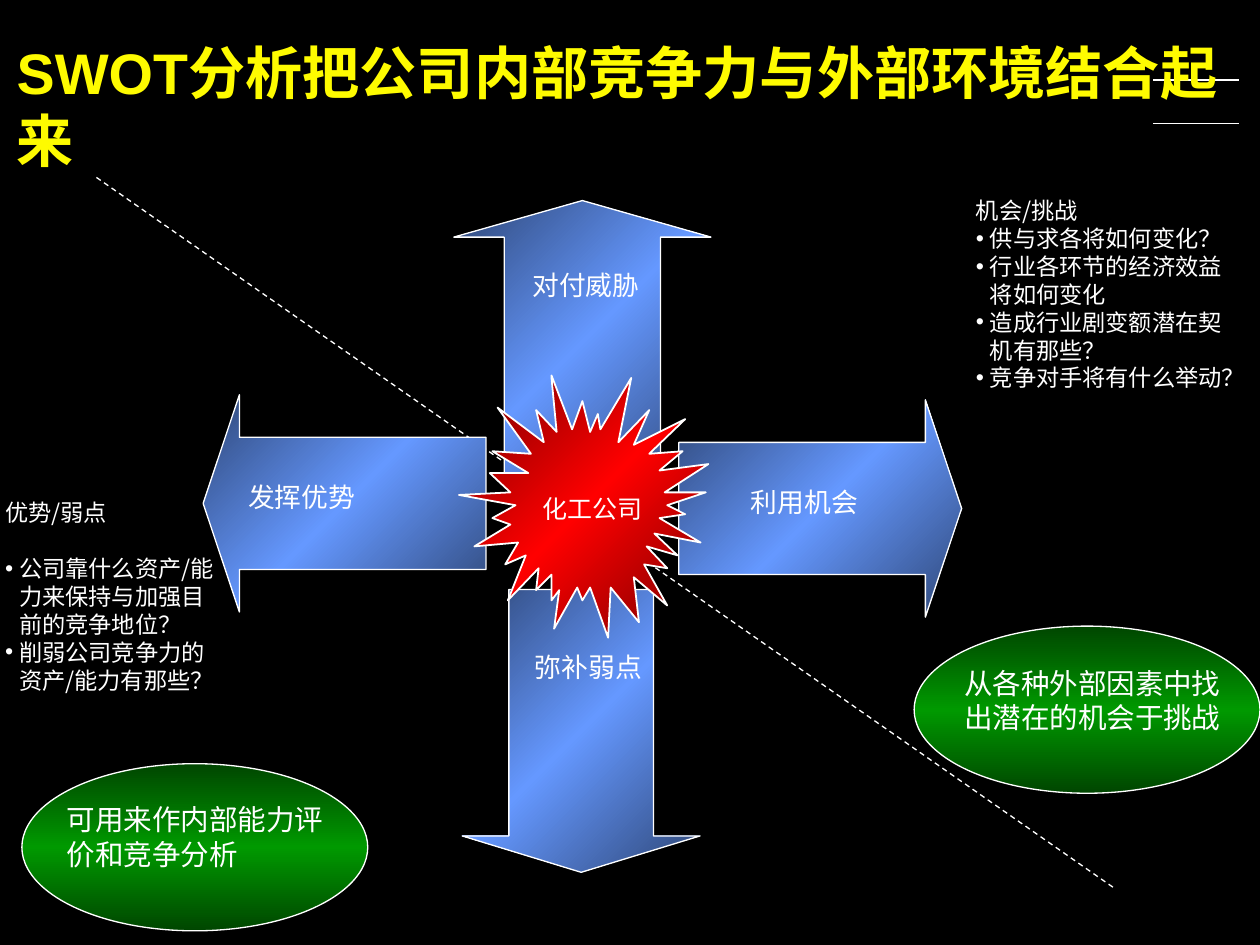
import copy

import pptx
import pptx.dml.color
import pptx.enum.dml
import pptx.enum.shapes
import pptx.enum.text
import pptx.oxml
import pptx.oxml.ns
import pptx.util

PX = 9144
BLACK = pptx.dml.color.RGBColor(0x00, 0x00, 0x00)
WHITE = pptx.dml.color.RGBColor(0xFF, 0xFF, 0xFF)
YELLOW = pptx.dml.color.RGBColor(0xFE, 0xFB, 0x00)
BLUES = (pptx.dml.color.RGBColor(0x2E, 0x46, 0x75), pptx.dml.color.RGBColor(0x65, 0x98, 0xFF))
REDS = (pptx.dml.color.RGBColor(0x75, 0x00, 0x00), pptx.dml.color.RGBColor(0xFF, 0x00, 0x00))
GREENS = (pptx.dml.color.RGBColor(0x00, 0x46, 0x00), pptx.dml.color.RGBColor(0x00, 0x99, 0x00))
DIAGONAL, VERTICAL = 135, 270
LATIN_FONT = "Arial"
CHINESE_FONT = "Noto Sans CJK SC"
SHAPES = pptx.enum.shapes.MSO_SHAPE

TITLE = "SWOT分析把公司内部竞争力与外部环境结合起来"
ARROWS = [
    ((342, 476, 220, 185), 90, 0.153),
    ((343, 166, 220, 200), 270, 0.142),
    ((158, 307, 220, 169), 180, 0.167),
    ((528, 311, 220, 169), 0, 0.167),
]
ARROW_LABELS = [
    ("利用机会", (584, 378, 209, 25)),
    ("发挥优势", (193, 374, 142, 25)),
    ("对付威胁", (414, 209, 153, 25)),
    ("弥补弱点", (416, 506, 108, 25)),
]
OPPORTUNITIES = [
    "机会/挑战",
    "供与求各将如何变化？",
    "行业各环节的经济效益将如何变化",
    "造成行业剧变额潜在契机有那些？",
    "竞争对手将有什么举动？",
]
STRENGTHS = [
    "优势/弱点",
    "公司靠什么资产/能力来保持与加强目前的竞争地位？",
    "削弱公司竞争力的资产/能力有那些？",
]
ELLIPSES = [
    ((17, 594, 269, 130), (37, 624, 228, 53), ["可用来作内部能力评", "价和竞争分析"]),
    ((711, 487, 269, 130), (735, 518, 228, 53), ["从各种外部因素中找", "出潜在的机会于挑战"]),
]
BURST = [
    (429, 292), (445, 334), (453, 312), (459, 336), (465, 322), (467, 334),
    (491, 294), (481, 344), (505, 319), (493, 346), (533, 326), (505, 353),
    (531, 351), (513, 366), (551, 361), (517, 383), (549, 383), (519, 393),
    (533, 400), (513, 403), (545, 422), (509, 415), (527, 432), (503, 425),
    (519, 442), (501, 439), (519, 471), (493, 449), (497, 484), (475, 457),
    (473, 496), (459, 457), (453, 467), (449, 457), (431, 489), (435, 459),
    (429, 467), (429, 447), (417, 459), (419, 442), (395, 467), (409, 432),
    (393, 439), (403, 422), (369, 425), (397, 408), (383, 403), (401, 393),
    (357, 385), (397, 383), (381, 368), (411, 368), (383, 351), (413, 353),
    (387, 317), (423, 344), (417, 319), (433, 336), (429, 294),
]


def emu(lengths):
    return [length * PX for length in lengths]


def add_line(slide, start, end, width, dashed=False):
    connector = slide.shapes.add_connector(
        pptx.enum.shapes.MSO_CONNECTOR.STRAIGHT, *emu(start + end))
    connector.line.color.rgb = WHITE
    connector.line.width = pptx.util.Pt(width)
    if dashed:
        connector.line.dash_style = pptx.enum.dml.MSO_LINE.DASH
    properties = connector.element.spPr
    properties.append(properties.makeelement(pptx.oxml.ns.qn("a:effectLst"), {}))


def style_shape(shape, colors, angle, width=0.75):
    edge, middle = colors
    shape.shadow.inherit = False
    shape.line.color.rgb = WHITE
    shape.line.width = pptx.util.Pt(width)
    shape.fill.gradient()
    shape.fill.gradient_angle = angle
    gradient = shape.element.spPr.find(pptx.oxml.ns.qn("a:gradFill"))
    gradient.set("rotWithShape", "0")
    first_stop = gradient.find(pptx.oxml.ns.qn("a:gsLst"))[0]
    first_stop.addnext(copy.deepcopy(first_stop))
    for index, stop in enumerate(shape.fill.gradient_stops):
        stop.position = index / 2
        stop.color.rgb = middle if index == 1 else edge


def add_arrow(slide, box, rotation, head):
    arrow = slide.shapes.add_shape(SHAPES.RIGHT_ARROW, *emu(box))
    arrow.rotation = rotation
    arrow.adjustments[0] = 0.608
    arrow.adjustments[1] = head
    style_shape(arrow, BLUES, DIAGONAL)


def add_burst(slide):
    builder = slide.shapes.build_freeform(*BURST[0], scale=PX)
    builder.add_line_segments(BURST[1:], close=True)
    style_shape(builder.convert_to_shape(), REDS, DIAGONAL, width=1)


def add_bullet(properties):
    for markup in (
        '<a:buClr %s><a:srgbClr val="FFFFFF"/></a:buClr>',
        '<a:buFont %s typeface="Arial"/>',
        '<a:buChar %s char="•"/>',
    ):
        properties.append(pptx.oxml.parse_xml(markup % pptx.oxml.ns.nsdecls("a")))


def add_text(slide, box, lines, size, color=WHITE, bold=False, font=LATIN_FONT,
             align=None, margin=0, hanging=0, bulleted=False, gap=0, spacing=None):
    frame = slide.shapes.add_textbox(*emu(box)).text_frame
    frame.word_wrap = True
    frame.margin_left = frame.margin_right = frame.margin_top = frame.margin_bottom = 0
    for index, line in enumerate(lines):
        paragraph = frame.paragraphs[0] if index == 0 else frame.add_paragraph()
        properties = paragraph._p.get_or_add_pPr()
        if margin:
            properties.set("marL", str(margin * PX))
            properties.set("indent", str(-hanging * PX))
        if bulleted and index:
            add_bullet(properties)
        if gap and index == 1:
            paragraph.space_before = pptx.util.Pt(gap)
        paragraph.alignment = align
        paragraph.line_spacing = pptx.util.Pt(spacing or size * 1.2)
        run = paragraph.add_run()
        run.text = line
        run.font.size = pptx.util.Pt(size)
        run.font.bold = bold
        run.font.color.rgb = color
        run.font.name = font
        run_properties = run._r.get_or_add_rPr()
        run_properties.append(run_properties.makeelement(
            pptx.oxml.ns.qn("a:ea"), {"typeface": CHINESE_FONT}))


def add_ellipse(slide, box, text_box, lines):
    ellipse = slide.shapes.add_shape(SHAPES.OVAL, *emu(box))
    style_shape(ellipse, GREENS, VERTICAL)
    add_text(slide, text_box, lines, 16, margin=32, hanging=17)


def main():
    presentation = pptx.Presentation()
    presentation.slide_width, presentation.slide_height = emu((980, 735))
    slide = presentation.slides.add_slide(presentation.slide_layouts[6])
    slide.background.fill.solid()
    slide.background.fill.fore_color.rgb = BLACK

    for y in (96, 62):
        add_line(slide, (897, y), (964, y), 1)
    add_line(slide, (75, 138), (867, 691), 0.75, dashed=True)
    for arrow in ARROWS:
        add_arrow(slide, *arrow)
    add_burst(slide)

    add_text(slide, (759, 153, 201, 109), OPPORTUNITIES, 13, font=CHINESE_FONT,
             margin=11, hanging=11, bulleted=True)
    add_text(slide, (419, 390, 84, 53), ["化工公司"], 14, font=CHINESE_FONT,
             align=pptx.enum.text.PP_ALIGN.CENTER, spacing=12.4)
    add_text(slide, (13, 29, 942, 107), [TITLE], 32, color=YELLOW, bold=True)
    for label, box in ARROW_LABELS:
        add_text(slide, box, [label], 15)
    add_text(slide, (4, 388, 168, 114), STRENGTHS, 13, font=CHINESE_FONT,
             margin=11, hanging=11, bulleted=True, gap=15.6)
    for ellipse in ELLIPSES:
        add_ellipse(slide, *ellipse)

    presentation.save("out.pptx")


if __name__ == "__main__":
    main()
